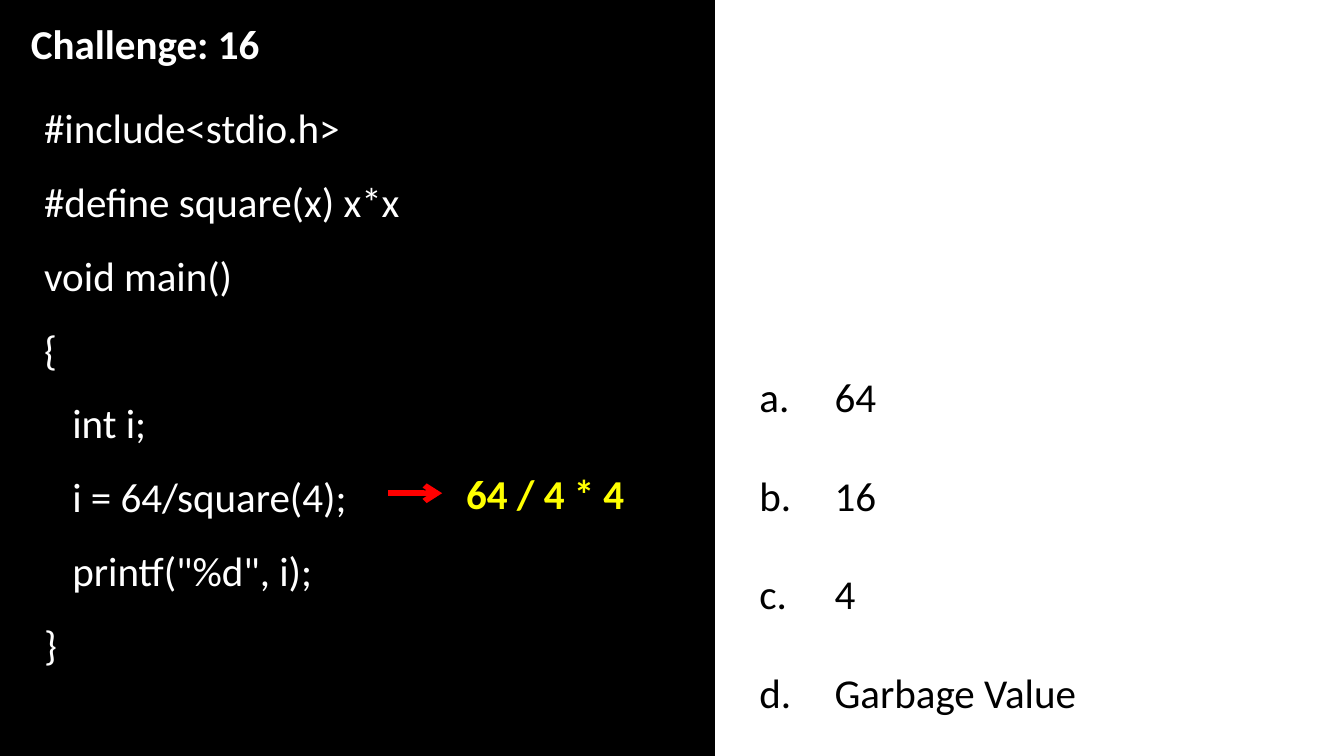
from lxml import etree
from pptx import Presentation
from pptx import util as u
from pptx.dml import color
from pptx.enum import shapes, text
from pptx.oxml import ns


def rgb(value):
    return color.RGBColor.from_string(value)


def write(shape, lines, ink, bold=False, spacing=1.0, wrap=True):
    frame = shape.text_frame
    frame.text = "\n".join(lines)
    frame.word_wrap = wrap
    frame.auto_size = text.MSO_AUTO_SIZE.SHAPE_TO_FIT_TEXT
    frame.vertical_anchor = text.MSO_ANCHOR.TOP
    for para in frame.paragraphs:
        para.alignment = text.PP_ALIGN.LEFT
        para.line_spacing = spacing
        para.space_before = u.Pt(0)
        para.font.name = "Calibri"
        para.font.size = u.Pt(22)
        para.font.bold = bold
        para.font.color.rgb = rgb(ink)
    return frame.paragraphs


deck = Presentation()
deck.slide_width = u.Inches(10)
deck.slide_height = deck.slide_width * 9 // 16
page = deck.slides.add_slide(deck.slide_layouts[1])
title, options = page.placeholders

panel = page.shapes.add_shape(
    shapes.MSO_SHAPE.RECTANGLE, 0, 0, u.Inches(5.31), deck.slide_height)
panel.shadow.inherit = False
panel.fill.solid()
panel.fill.fore_color.rgb = rgb("000000")
panel.line.color.rgb = rgb("000000")
panel.line.width = u.Pt(2)
panel.element.getparent().insert(2, panel.element)

title.left, title.top = u.Inches(0.13), u.Inches(0.09)
title.width, title.height = u.Inches(1.9), u.Inches(0.47)
write(title, ["Challenge: 16"], "FFFFFF", bold=True, wrap=False)

code = page.shapes.add_textbox(
    u.Inches(0.23), u.Inches(0.53), u.Inches(4.38), u.Inches(4.54))
code_lines = ["#include<stdio.h>", "#define square(x) x*x", "void main()", "{",
              "int i;", "i = 64/square(4);", 'printf("%d", i);', "}"]
code_paras = write(code, code_lines, "FFFFFF", spacing=1.5)
for para in code_paras[4:7]:
    para._p.get_or_add_pPr().set("marL", str(u.Inches(0.21)))

arrow = page.shapes.add_connector(
    shapes.MSO_CONNECTOR.STRAIGHT,
    u.Inches(2.89), u.Inches(3.67), u.Inches(3.29), u.Inches(3.67))
arrow.line.color.rgb = rgb("FF0000")
arrow.line.width = u.Pt(3)
outline = arrow.element.spPr.find(ns.qn("a:ln"))
etree.SubElement(outline, ns.qn("a:tailEnd"), type="arrow")
etree.SubElement(arrow.element.spPr, ns.qn("a:effectLst"))

expansion = page.shapes.add_textbox(
    u.Inches(3.37), u.Inches(3.44), u.Inches(1.38), u.Inches(0.47))
write(expansion, ["64 / 4 * 4"], "FFFF00", bold=True, wrap=False)

options.left, options.top = u.Inches(5.55), u.Inches(2.35)
options.width, options.height = u.Inches(3.91), u.Inches(3.06)
for para in write(options, ["64", "16", "4", "Garbage Value"], "000000", spacing=2.0):
    props = para._p.get_or_add_pPr()
    props.set("marL", str(u.Inches(0.56)))
    props.set("indent", str(u.Inches(-0.56)))
    bullet = etree.Element(ns.qn("a:buAutoNum"), type="alphaLcPeriod")
    props.find(ns.qn("a:defRPr")).addprevious(bullet)

deck.save("out.pptx")
